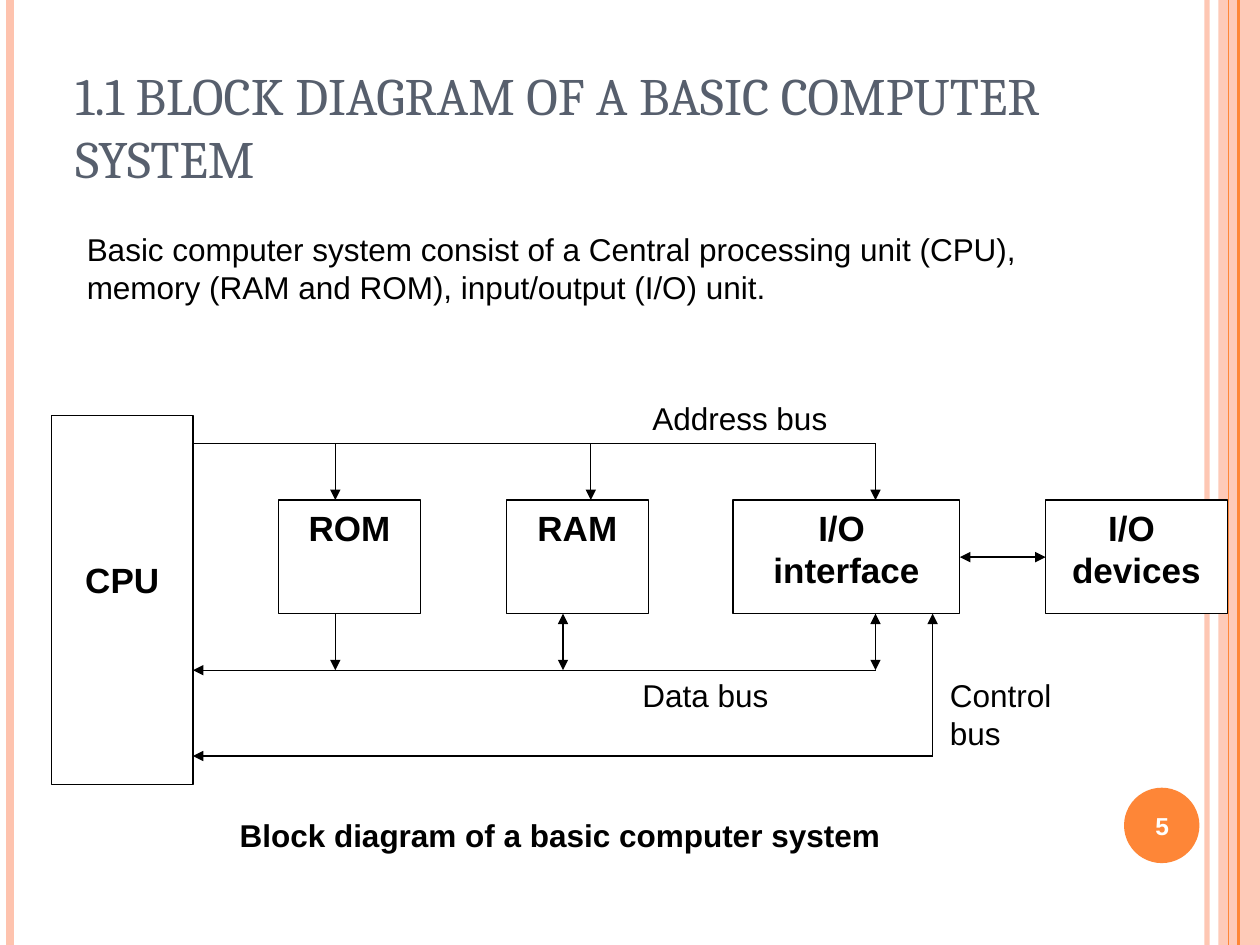
import pptx
import pptx.util
import pptx.dml.color
import pptx.enum.shapes
import pptx.enum.text
import pptx.oxml
import pptx.oxml.ns

Cm = pptx.util.Cm
Pt = pptx.util.Pt
RGBColor = pptx.dml.color.RGBColor
Shape = pptx.enum.shapes.MSO_SHAPE
Align = pptx.enum.text.PP_ALIGN
Anchor = pptx.enum.text.MSO_ANCHOR
qn = pptx.oxml.ns.qn

BLACK = RGBColor(0x00, 0x00, 0x00)
WHITE = RGBColor(0xFF, 0xFF, 0xFF)
ORANGE = RGBColor(0xFE, 0x86, 0x37)
PEACH = RGBColor(0xFE, 0xC3, 0xAE)
SLATE = RGBColor(0x57, 0x5F, 0x6D)

WIDTH, HEIGHT = 25.4, 19.05
CPU_RIGHT = 3.89
BOX_TOP, BOX_BOTTOM = 10.08, 12.37
ADDRESS_Y, DATA_Y, CONTROL_Y = 8.94, 13.51, 15.24
ROM_X, RAM_ADDRESS_X, RAM_DATA_X = 6.76, 11.91, 11.35
INTERFACE_X, CONTROL_X = 17.65, 18.8
INTERFACE_RIGHT, DEVICES_LEFT, DEVICE_Y = 19.35, 21.08, 11.23

STRIPES = [
    (24.33, PEACH, 3, 93),
    (0.2, PEACH, 4.5, 100),
    (24.97, ORANGE, 1.5, 100),
    (24.77, ORANGE, 0.75, 100),
]

BLOCKS = [
    ("ROM", 5.61, 2.87),
    ("RAM", 10.21, 2.86),
    ("I/O \ninterface", 14.78, 4.57),
    ("I/O \ndevices", DEVICES_LEFT, 3.66),
]

PLAIN, END, BOTH = (), ("tailEnd",), ("headEnd", "tailEnd")
BUS_LINES = [
    (CPU_RIGHT, ADDRESS_Y, INTERFACE_X, ADDRESS_Y, PLAIN),
    (ROM_X, ADDRESS_Y, ROM_X, BOX_TOP, END),
    (RAM_ADDRESS_X, ADDRESS_Y, RAM_ADDRESS_X, BOX_TOP, END),
    (INTERFACE_X, ADDRESS_Y, INTERFACE_X, BOX_TOP, END),
    (ROM_X, BOX_BOTTOM, ROM_X, DATA_Y, END),
    (RAM_DATA_X, DATA_Y, RAM_DATA_X, BOX_BOTTOM, BOTH),
    (INTERFACE_X, DATA_Y, INTERFACE_X, BOX_BOTTOM, BOTH),
    (INTERFACE_X, DATA_Y, CPU_RIGHT, DATA_Y, END),
    (CONTROL_X, CONTROL_Y, CPU_RIGHT, CONTROL_Y, END),
    (CONTROL_X, CONTROL_Y, CONTROL_X, BOX_BOTTOM, END),
    (INTERFACE_RIGHT, DEVICE_Y, DEVICES_LEFT, DEVICE_Y, BOTH),
]

LABELS = [
    ("Basic computer system consist of a Central processing unit (CPU), "
     "memory (RAM and ROM), input/output (I/O) unit.",
     (1.5, 4.52, 20.19, 1.78), Align.LEFT, False),
    ("Block diagram of a basic computer system",
     (1.09, 16.33, 20.4, 1.02), Align.CENTER, True),
    ("Address bus", (12.9, 7.92, 4.19, 1.02), Align.LEFT, False),
    ("Data bus", (12.7, 13.51, 4.19, 1.02), Align.LEFT, False),
    ("Control bus", (18.9, 13.51, 2.79, 1.78), Align.LEFT, False),
]


def set_opacity(item, percent):
    for color in item._element.iter(qn("a:srgbClr")):
        pptx.oxml.parse_xml(
            '<a:root xmlns:a="http://schemas.openxmlformats.org/drawingml/2006/main"/>')
        color.append(color.makeelement(qn("a:alpha"), {"val": str(percent * 1000)}))


def write(shape, text, size, color=BLACK, bold=False, align=Align.LEFT,
          anchor=Anchor.TOP, font="Arial"):
    frame = shape.text_frame
    frame.word_wrap = True
    frame.vertical_anchor = anchor
    frame.text = text
    for paragraph in frame.paragraphs:
        paragraph.alignment = align
        for run in paragraph.runs:
            run.font.name = font
            run.font.size = Pt(size)
            run.font.bold = bold
            run.font.color.rgb = color


def add_text(slide, place, text, size, **style):
    write(slide.shapes.add_textbox(*map(Cm, place)), text, size, **style)


def add_shape(slide, kind, place, fill, outline=None):
    shape = slide.shapes.add_shape(kind, *map(Cm, place))
    shape.shadow.inherit = False
    shape.fill.solid()
    shape.fill.fore_color.rgb = fill
    if outline is None:
        shape.line.fill.background()
    else:
        shape.line.color.rgb = outline
        shape.line.width = Pt(0.75)
    return shape


def add_line(slide, ends, color=BLACK, width=0.75, arrows=PLAIN):
    line = slide.shapes.add_connector(
        pptx.enum.shapes.MSO_CONNECTOR.STRAIGHT, *map(Cm, ends))
    line.line.color.rgb = color
    line.line.width = Pt(width)
    properties = line._element.spPr
    outline = properties.find(qn("a:ln"))
    for arrow in arrows:
        outline.append(outline.makeelement(qn("a:" + arrow), {"type": "triangle"}))
    properties.append(properties.makeelement(qn("a:effectLst"), {}))
    return line


def add_block(slide, kind, place, text, top_inset=0.13):
    block = add_shape(slide, kind, place, WHITE, BLACK)
    block.text_frame.margin_top = Cm(top_inset)
    write(block, text, 20, bold=True, align=Align.CENTER)


def main():
    presentation = pptx.Presentation()
    presentation.slide_width = Cm(WIDTH)
    presentation.slide_height = Cm(HEIGHT)
    slide = presentation.slides.add_slide(presentation.slide_layouts[6])

    band = add_shape(slide, Shape.RECTANGLE, (24.56, 0, 0.84, HEIGHT), PEACH)
    set_opacity(band, 87)
    for x, color, width, opacity in STRIPES:
        stripe = add_line(slide, (x, 0, x, HEIGHT), color, width)
        if opacity < 100:
            set_opacity(stripe, opacity)
    add_shape(slide, Shape.OVAL, (22.66, 15.88, 1.52, 1.52), ORANGE)

    add_text(slide, (1.27, 0.76, 20.75, 3.18),
             "1.1 BLOCK DIAGRAM OF A BASIC COMPUTER SYSTEM", 30,
             color=SLATE, anchor=Anchor.BOTTOM, font="Cambria")

    for text, left, width in BLOCKS:
        add_block(slide, Shape.RECTANGLE,
                  (left, BOX_TOP, width, BOX_BOTTOM - BOX_TOP), text)
    add_block(slide, Shape.FLOWCHART_PROCESS, (1.04, 8.38, 2.85, 7.44), "CPU", 2.87)

    for *ends, arrows in BUS_LINES:
        add_line(slide, ends, arrows=arrows)

    for text, place, align, bold in LABELS:
        add_text(slide, place, text, 18, align=align, bold=bold)
    add_text(slide, (22.58, 15.93, 1.7, 1.45), "5", 14, color=WHITE, bold=True,
             align=Align.CENTER, anchor=Anchor.MIDDLE)

    presentation.save("out.pptx")


if __name__ == "__main__":
    main()
